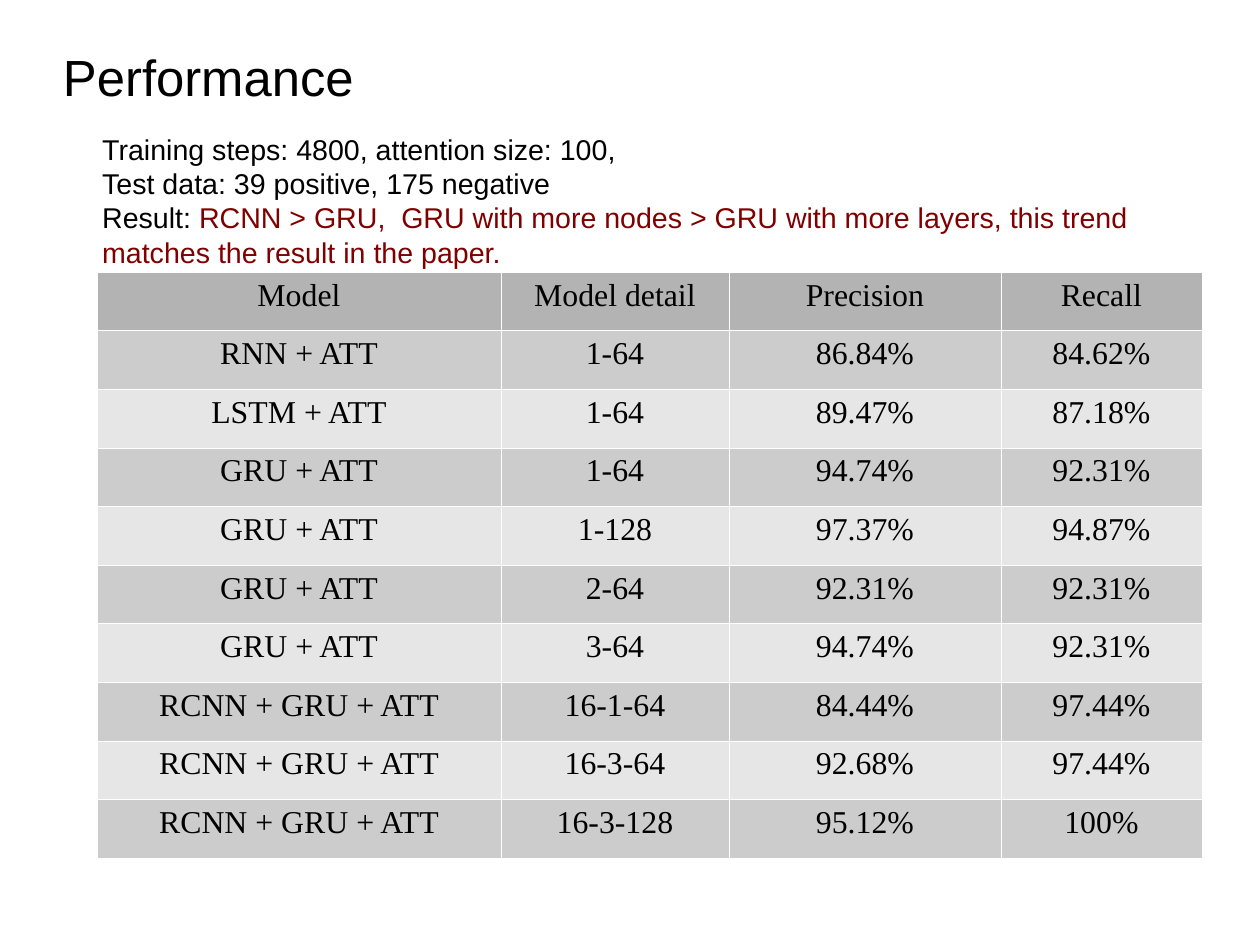
from lxml.etree import SubElement
from pptx import Presentation
from pptx.dml.color import RGBColor
from pptx.enum.text import MSO_ANCHOR, PP_ALIGN
from pptx.oxml.ns import qn
from pptx.util import Emu, Pt

PIXEL = 914400 / 114.3
BLACK, MAROON, WHITE = "000000", "800000", "FFFFFF"
HEADER_GREY, ODD_GREY, EVEN_GREY = "B3B3B3", "CCCCCC", "E6E6E6"

SETUP_LINES = [
    "Training steps: 4800, attention size: 100,",
    "Test data: 39 positive, 175 negative",
    "Result: ",
]
FINDING = (
    "RCNN > GRU,  GRU with more nodes > GRU with more layers, "
    "this trend matches the result in the paper."
)
COLUMN_WIDTHS = [404, 228, 272, 201]
SCORES = [
    ("Model", "Model detail", "Precision", "Recall"),
    ("RNN + ATT", "1-64", "86.84%", "84.62%"),
    ("LSTM + ATT", "1-64", "89.47%", "87.18%"),
    ("GRU + ATT", "1-64", "94.74%", "92.31%"),
    ("GRU + ATT", "1-128", "97.37%", "94.87%"),
    ("GRU + ATT", "2-64", "92.31%", "92.31%"),
    ("GRU + ATT", "3-64", "94.74%", "92.31%"),
    ("RCNN + GRU + ATT", "16-1-64", "84.44%", "97.44%"),
    ("RCNN + GRU + ATT", "16-3-64", "92.68%", "97.44%"),
    ("RCNN + GRU + ATT", "16-3-128", "95.12%", "100%"),
]


def px(length):
    return Emu(round(length * PIXEL))


def color(hex_code):
    return RGBColor.from_string(hex_code)


def style(paragraph, size, face="Arial", align=PP_ALIGN.LEFT):
    paragraph.alignment = align
    for run in paragraph.runs:
        run.font.size = Pt(size)
        run.font.name = face
        run.font.color.rgb = color(BLACK)


def place_heading(slide, box):
    heading = slide.shapes.title
    heading.left, heading.top, heading.width, heading.height = map(px, box)
    frame = heading.text_frame
    frame.text = "Performance"
    frame.vertical_anchor = MSO_ANCHOR.MIDDLE
    frame.margin_left = frame.margin_right = 0
    frame.margin_top = frame.margin_bottom = 0
    style(frame.paragraphs[0], 32)


def place_setup(slide, box):
    frame = slide.shapes.add_textbox(*map(px, box)).text_frame
    frame.word_wrap = True
    frame.text = "\n".join(SETUP_LINES)
    finding = frame.paragraphs[-1].add_run()
    finding.text = FINDING
    for paragraph in frame.paragraphs:
        style(paragraph, 18)
    finding.font.color.rgb = color(MAROON)


def draw_borders(cell):
    properties = cell._tc.get_or_add_tcPr()
    for position, side in enumerate(("a:lnL", "a:lnR", "a:lnT", "a:lnB")):
        border = SubElement(properties, qn(side), w="762")
        fill = SubElement(border, qn("a:solidFill"))
        SubElement(fill, qn("a:srgbClr"), val=WHITE)
        properties.insert(position, border)


def place_scores(slide, box):
    left, top, width, height = map(px, box)
    scores = slide.shapes.add_table(
        len(SCORES), len(COLUMN_WIDTHS), left, top, width, height
    ).table
    for column, column_width in zip(scores.columns, COLUMN_WIDTHS):
        column.width = px(column_width)
    for row, entries in enumerate(SCORES):
        band = ODD_GREY if row % 2 else EVEN_GREY
        for column, entry in enumerate(entries):
            cell = scores.cell(row, column)
            cell.text = entry
            style(cell.text_frame.paragraphs[0], 20, "Times New Roman", PP_ALIGN.CENTER)
            for run in cell.text_frame.paragraphs[0].runs:
                run.font.bold = False
            cell.fill.solid()
            cell.fill.fore_color.rgb = color(band if row else HEADER_GREY)
            draw_borders(cell)


def build_performance(deck):
    slide = deck.slides.add_slide(deck.slide_layouts[5])
    place_heading(slide, (63, 38, 1134, 77))
    place_scores(slide, (97, 272, sum(COLUMN_WIDTHS), 586))
    place_setup(slide, (91, 126, 1097, 139))


deck = Presentation()
deck.slide_width, deck.slide_height = px(1260), px(945)
build_performance(deck)
deck.save("out.pptx")
